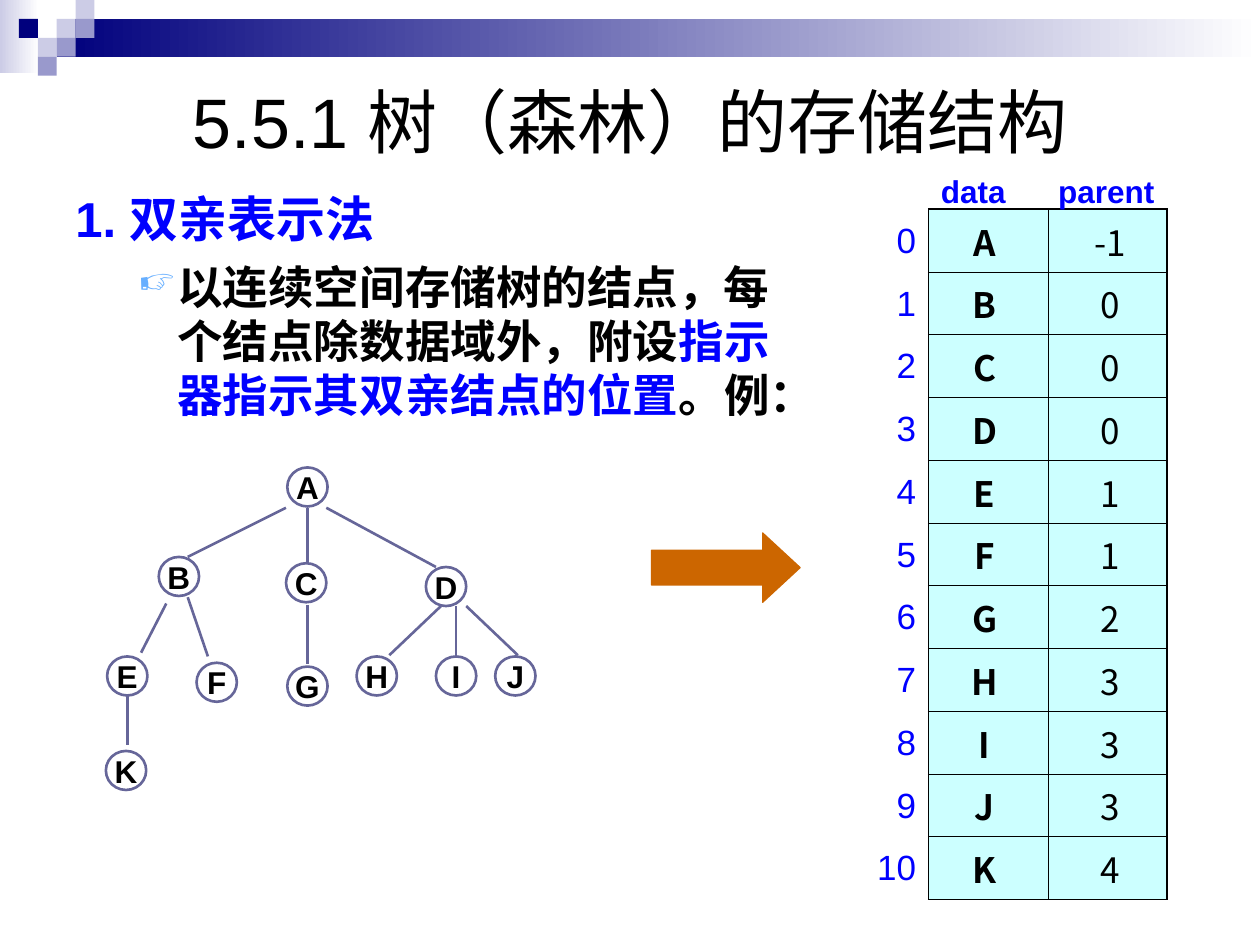
import lxml.etree
import pptx
import pptx.dml.color
import pptx.enum.shapes
import pptx.enum.text
import pptx.oxml.ns
import pptx.util

HUES = {
    "black": "000000", "white": "FFFFFF", "blue": "0000FF", "navy": "00007D",
    "pale": "CCCCE6", "mid": "9999CC", "edge": "666699", "cell": "CCFFFF",
    "arrow": "CC6600", "hand": "67AFFF",
}
LATIN, HAN = "Arial", "Noto Sans CJK SC"
PLAIN = "{2D5ABB26-0587-4C30-8999-92F81FD0307C}"
ALIGN = pptx.enum.text.PP_ALIGN
SHAPES = pptx.enum.shapes.MSO_SHAPE
MIDDLE = pptx.enum.text.MSO_ANCHOR.MIDDLE
TILE = 1.5
NODE_W, NODE_H = 3.2, 3.1

TILES = [("pale", 3, 1), ("pale", 4, 0), ("mid", 4, 1), ("pale", 2, 2),
         ("navy", 1, 1), ("mid", 3, 2), ("mid", 2, 3)]
NODES = {"A": (22.8, 37.1), "B": (12.6, 44.2), "C": (22.7, 44.7), "D": (33.8, 45),
         "E": (8.5, 52.1), "F": (15.6, 52.6), "G": (22.8, 52.9), "H": (28.3, 52.1),
         "I": (34.6, 52.1), "J": (39.3, 52.1), "K": (8.4, 59.6)}
EDGES = [(22.7, 40.3, 14.9, 44.2), (25.9, 40.3, 34.6, 45), (24.4, 40.3, 24.4, 45.8),
         (24.4, 48, 24.4, 52.7), (10.1, 55.2, 10.1, 59.1), (36.2, 48.1, 36.2, 52),
         (14.9, 47.4, 16.5, 52.1), (13.2, 47.9, 11.2, 51.8), (37, 48.1, 41.1, 52),
         (35, 48.1, 30.9, 52)]
PARENTS = [-1, 0, 0, 0, 1, 1, 2, 3, 3, 3, 4]


def grid(*cells):
    return [pptx.util.Inches(cell / 10) for cell in cells]


def hue(name):
    return pptx.dml.color.RGBColor.from_string(HUES[name])


def add(parent, tag, **attrs):
    return lxml.etree.SubElement(parent, pptx.oxml.ns.qn(tag), attrs)


def paint(fill, name):
    fill.solid()
    fill.fore_color.rgb = hue(name)


def style(para, size, color="black", bold=False, align=None, face=LATIN):
    para.alignment = align
    font = para.font
    font.size, font.bold, font.name = pptx.util.Pt(size), bold, face
    font.color.rgb = hue(color)
    add(para._p.xpath("./a:pPr/a:defRPr")[0], "a:ea", typeface=HAN)


def shape(slide, kind, box, fill, line=None, width=1.5):
    item = slide.shapes.add_shape(kind, *grid(*box))
    item.shadow.inherit = False
    if isinstance(fill, tuple):
        item.fill.gradient()
        item.fill.gradient_angle = 0
        for stop, name in zip(item.fill.gradient_stops, fill):
            stop.color.rgb = hue(name)
    else:
        paint(item.fill, fill)
    if line:
        item.line.color.rgb = hue(line)
        item.line.width = pptx.util.Pt(width)
    else:
        item.line.fill.background()
    return item


def edge(slide, ends):
    line = slide.shapes.add_connector(
        pptx.enum.shapes.MSO_CONNECTOR.STRAIGHT, *grid(*ends))
    line.line.color.rgb = hue("edge")
    line.line.width = pptx.util.Pt(1.5)
    add(line._element.spPr, "a:effectLst")


def node(slide, name, spot):
    item = shape(slide, SHAPES.OVAL, (*spot, NODE_W, NODE_H), "white", "edge")
    frame = item.text_frame
    frame.word_wrap = False
    frame.vertical_anchor = MIDDLE
    frame.text = name
    style(frame.paragraphs[0], 18, bold=True, align=ALIGN.CENTER)


def text(slide, box):
    frame = slide.shapes.add_textbox(*grid(*box)).text_frame
    frame.word_wrap = True
    return frame


def border(cell, widths):
    props = cell._tc.get_or_add_tcPr()
    for side, width in zip("LRTB", widths):
        line = add(props, f"a:ln{side}", w=str(pptx.util.Pt(width)))
        add(add(line, "a:solidFill"), "a:srgbClr", val=HUES["black"])


def table(slide, box, rows, cols):
    grid_ = slide.shapes.add_table(rows, len(cols), *grid(*box)).table
    grid_.first_row = grid_.horz_banding = False
    grid_._tbl.tblPr.find(pptx.oxml.ns.qn("a:tableStyleId")).text = PLAIN
    for col, width in zip(grid_.columns, grid(*cols)):
        col.width = width
    return grid_


def banner(slide):
    shape(slide, SHAPES.RECTANGLE, (0, 0, 3.1, 5.8), ("pale", "white"))
    shape(slide, SHAPES.RECTANGLE, (4.5, 1.5, 95.5, 3), ("navy", "white"))
    for name, col, row in TILES:
        shape(slide, SHAPES.RECTANGLE, (col * TILE, row * TILE, TILE, TILE), name)


def title(slide):
    head = slide.shapes.title
    head.left, head.top, head.width, head.height = grid(5, 5, 90, 9.2)
    head.text_frame.text = "5.5.1 树（森林）的存储结构"
    head.text_frame.vertical_anchor = MIDDLE
    style(head.text_frame.paragraphs[0], 40, align=ALIGN.CENTER)


def body(slide):
    frame = text(slide, (5, 14.5, 59.2, 53))
    first = frame.paragraphs[0]
    first.text = "1. 双亲表示法"
    first.line_spacing = pptx.util.Pt(33.5)
    style(first, 28, "blue", True)

    para = frame.add_paragraph()
    props = para._p.get_or_add_pPr()
    left, hang = grid(8.1, 3.1)
    props.set("marL", str(left))
    props.set("indent", str(-hang))
    add(add(props, "a:buClr"), "a:srgbClr", val=HUES["hand"])
    add(props, "a:buSzPct", val="80000")
    add(props, "a:buChar", char="☞")
    style(para, 26, bold=True)
    para.space_before = pptx.util.Pt(6.5)
    para.line_spacing = pptx.util.Pt(31)
    para.add_run().text = "以连续空间存储树的结点，每个结点除数据域外，附设"
    key = para.add_run()
    key.text = "指示器指示其双亲结点的位置"
    key.font.color.rgb = hue("blue")
    para.add_run().text = "。例："


def arrays(slide):
    count = len(PARENTS)
    data = table(slide, (73.7, 16.6, 18.9, 54.8), count, (9.5, 9.4))
    for row, pair in enumerate(zip(NODES, PARENTS)):
        for col, value in enumerate(pair):
            cell = data.cell(row, col)
            cell.text = str(value)
            style(cell.text_frame.paragraphs[0], 20, bold=col == 0,
                  align=ALIGN.CENTER, face=HAN)
            outer = (col == 0, col == 1, row == 0, row == count - 1)
            border(cell, [1.08 if side else 0.45 for side in outer])
            paint(cell.fill, "cell")
            if col:
                cell.margin_left = pptx.util.Inches(0.14)
            else:
                cell.margin_right = pptx.util.Inches(0.16)

    index = table(slide, (67.4, 17.1, 6.3, 54.8), count, (6.3,))
    for row in range(count):
        cell = index.cell(row, 0)
        cell.text = str(row)
        cell.fill.background()
        style(cell.text_frame.paragraphs[0], 20, "blue", align=ALIGN.RIGHT)

    para = text(slide, (73.7, 13.2, 21.3, 4)).paragraphs[0]
    para.text = "data\tparent"
    stops = add(para._p.get_or_add_pPr(), "a:tabLst")
    add(stops, "a:tab", pos=str(grid(9.3)[0]), algn="l")
    style(para, 18, "blue", True)


def main():
    deck = pptx.Presentation()
    deck.slide_width, deck.slide_height = grid(100, 75)
    slide = deck.slides.add_slide(deck.slide_layouts[5])
    banner(slide)
    title(slide)
    body(slide)
    for ends in EDGES:
        edge(slide, ends)
    for name, spot in NODES.items():
        node(slide, name, spot)
    arrays(slide)
    arrow = shape(slide, SHAPES.RIGHT_ARROW, (51.7, 42.3, 11.8, 5.5),
                  "arrow", "arrow", 0.75)
    arrow.adjustments[1] = 0.54
    deck.save("out.pptx")


if __name__ == "__main__":
    main()
